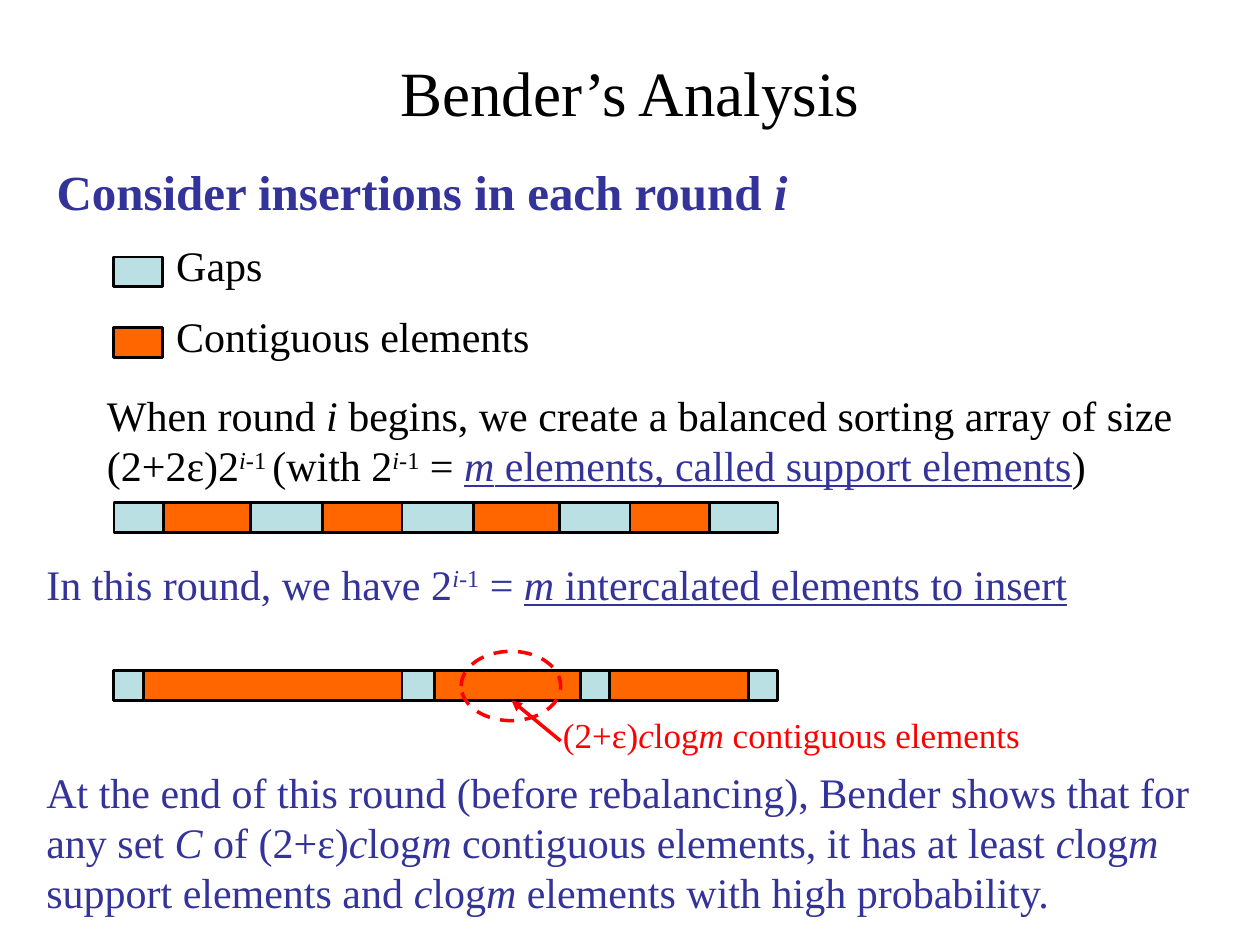
"""Build the slide on Bender's analysis of insertion rounds."""
from dataclasses import dataclass
from typing import Any

from lxml.etree import SubElement
from pptx import Presentation
from pptx.dml.color import RGBColor
from pptx.enum.dml import MSO_LINE
from pptx.enum.shapes import MSO_CONNECTOR, MSO_SHAPE
from pptx.enum.text import MSO_ANCHOR, MSO_AUTO_SIZE, PP_ALIGN
from pptx.oxml.ns import qn
from pptx.util import Pt


@dataclass(frozen=True)
class Theme:
    font: str = "Times New Roman"
    ink: str = "000000"
    accent: str = "333399"
    alert: str = "FF0000"
    gap: str = "BBE0E3"
    element: str = "FF6600"
    title_size: float = 36
    heading_size: float = 28
    body_size: float = 24
    label_size: float = 20
    block_line: float = 1.5
    alert_line: float = 2


@dataclass(frozen=True)
class Box:
    left: float
    top: float
    width: float
    height: float

    def lengths(self) -> tuple[Pt, ...]:
        return Pt(self.left), Pt(self.top), Pt(self.width), Pt(self.height)


@dataclass(frozen=True)
class TextItem:
    box: Box
    text: str
    size: float
    color: str
    bold: bool = False


@dataclass(frozen=True)
class Strip:
    box: Box
    elements: tuple[tuple[float, float], ...]


THEME = Theme()
MARKS = {"*": "italic", "^": "superscript", "_": "underline"}
BLOCK_HEIGHT = 17.0

TEXTS = (
    TextItem(Box(25.2, 88.6, 668.9, 41), "Consider insertions in each round *i*",
             THEME.heading_size, THEME.accent, bold=True),
    TextItem(Box(54, 218.9, 635, 64.8),
             "When round *i* begins, we create a balanced sorting array of size "
             "(2+2ε)2^*i*-1 ^(with 2^*i*-1^ = _*m* elements, called support elements_)",
             THEME.body_size, THEME.ink),
    TextItem(Box(19.4, 315.4, 680.4, 36),
             "In this round, we have 2^*i*-1^ = _*m* intercalated elements to insert_",
             THEME.body_size, THEME.accent),
    TextItem(Box(19.4, 434.2, 680.4, 93.6),
             "At the end of this round (before rebalancing), Bender shows that for any "
             "set *C* of (2+ε)*c*log*m* contiguous elements, it has at least *c*log*m* "
             "support elements and *c*log*m* elements with high probability.",
             THEME.body_size, THEME.accent),
    TextItem(Box(314.6, 403.9, 300.2, 31.7), "(2+ε)*c*log*m* contiguous elements",
             THEME.label_size, THEME.alert),
)
LEGEND = (("Gaps", THEME.gap, 146.9), ("Contiguous elements", THEME.element, 187.2))
STRIPS = (
    Strip(Box(65.2, 287.3, 379.4, BLOCK_HEIGHT),
          ((93.6, 49.7), (184.3, 45.4), (270.7, 49), (360, 45.4))),
    Strip(Box(64.8, 383.3, 379.4, BLOCK_HEIGHT),
          ((82.1, 147.6), (248.4, 83.5), (348.5, 79.2))),
)


def write_text(shape: Any, text: str, *, size: float, color: str, bold: bool = False,
               align: PP_ALIGN = PP_ALIGN.LEFT,
               anchor: MSO_ANCHOR = MSO_ANCHOR.TOP) -> None:
    """Write text in which * toggles italic, ^ superscript and _ underline."""
    frame = shape.text_frame
    frame.word_wrap = True
    frame.vertical_anchor = anchor
    paragraph = frame.paragraphs[0]
    paragraph.alignment = align
    active: set[str] = set()
    piece = ""
    for character in text + "\0":
        if character not in MARKS and character != "\0":
            piece += character
            continue
        if piece:
            run = paragraph.add_run()
            run.text = piece
            font = run.font
            font.name, font.size, font.bold = THEME.font, Pt(size), bold
            font.italic = "italic" in active
            font.underline = "underline" in active
            shade = THEME.accent if font.underline else color
            font.color.rgb = RGBColor.from_string(shade)
            if "superscript" in active:
                font._element.set("baseline", "30000")
            piece = ""
        if character in MARKS:
            active ^= {MARKS[character]}


def add_text(slide: Any, item: TextItem) -> None:
    """Add a text box that grows with its text."""
    shape = slide.shapes.add_textbox(*item.box.lengths())
    write_text(shape, item.text, size=item.size, color=item.color, bold=item.bold)
    shape.text_frame.auto_size = MSO_AUTO_SIZE.SHAPE_TO_FIT_TEXT


def add_block(slide: Any, box: Box, color: str) -> None:
    """Add an outlined rectangle."""
    shape = slide.shapes.add_shape(MSO_SHAPE.RECTANGLE, *box.lengths())
    shape.shadow.inherit = False
    shape.fill.solid()
    shape.fill.fore_color.rgb = RGBColor.from_string(color)
    shape.line.color.rgb = RGBColor.from_string(THEME.ink)
    shape.line.width = Pt(THEME.block_line)


def add_strip(slide: Any, strip: Strip) -> None:
    """Add an array of gaps with runs of elements on top."""
    add_block(slide, strip.box, THEME.gap)
    for left, width in strip.elements:
        add_block(slide, Box(left, strip.box.top, width, strip.box.height), THEME.element)


def add_legend(slide: Any) -> None:
    """Add the colour keys with their labels."""
    for label, color, top in LEGEND:
        add_block(slide, Box(64.8, top, 28.1, BLOCK_HEIGHT), color)
        add_text(slide, TextItem(Box(93.6, top - 13.3, 238.3, 36), label,
                                 THEME.body_size, THEME.ink))


def add_callout(slide: Any) -> None:
    """Add the dashed ellipse and the arrow to it."""
    ellipse = slide.shapes.add_shape(MSO_SHAPE.OVAL, *Box(263.5, 372.2, 56.9, 39.6).lengths())
    ellipse.shadow.inherit = False
    ellipse.fill.background()
    ellipse.line.dash_style = MSO_LINE.DASH
    arrow = slide.shapes.add_connector(MSO_CONNECTOR.STRAIGHT, Pt(320.4), Pt(423.4),
                                       Pt(292.3), Pt(400.3))
    for shape in (ellipse, arrow):
        shape.line.color.rgb = RGBColor.from_string(THEME.alert)
        shape.line.width = Pt(THEME.alert_line)
    SubElement(arrow.line._get_or_add_ln(), qn("a:tailEnd"), type="triangle")
    SubElement(arrow._element.spPr, qn("a:effectLst"))


def main() -> None:
    """Build and save the presentation."""
    presentation = Presentation()
    presentation.slide_width, presentation.slide_height = Pt(720), Pt(540)
    slide = presentation.slides.add_slide(presentation.slide_layouts[5])
    title = slide.shapes.title
    title.left, title.top, title.width, title.height = Box(36, 21.6, 648, 61.2).lengths()
    write_text(title, "Bender’s Analysis", size=THEME.title_size, color=THEME.ink,
               align=PP_ALIGN.CENTER, anchor=MSO_ANCHOR.MIDDLE)
    for strip in STRIPS:
        add_strip(slide, strip)
    add_legend(slide)
    for item in TEXTS:
        add_text(slide, item)
    add_callout(slide)
    presentation.save("out.pptx")


if __name__ == "__main__":
    main()
